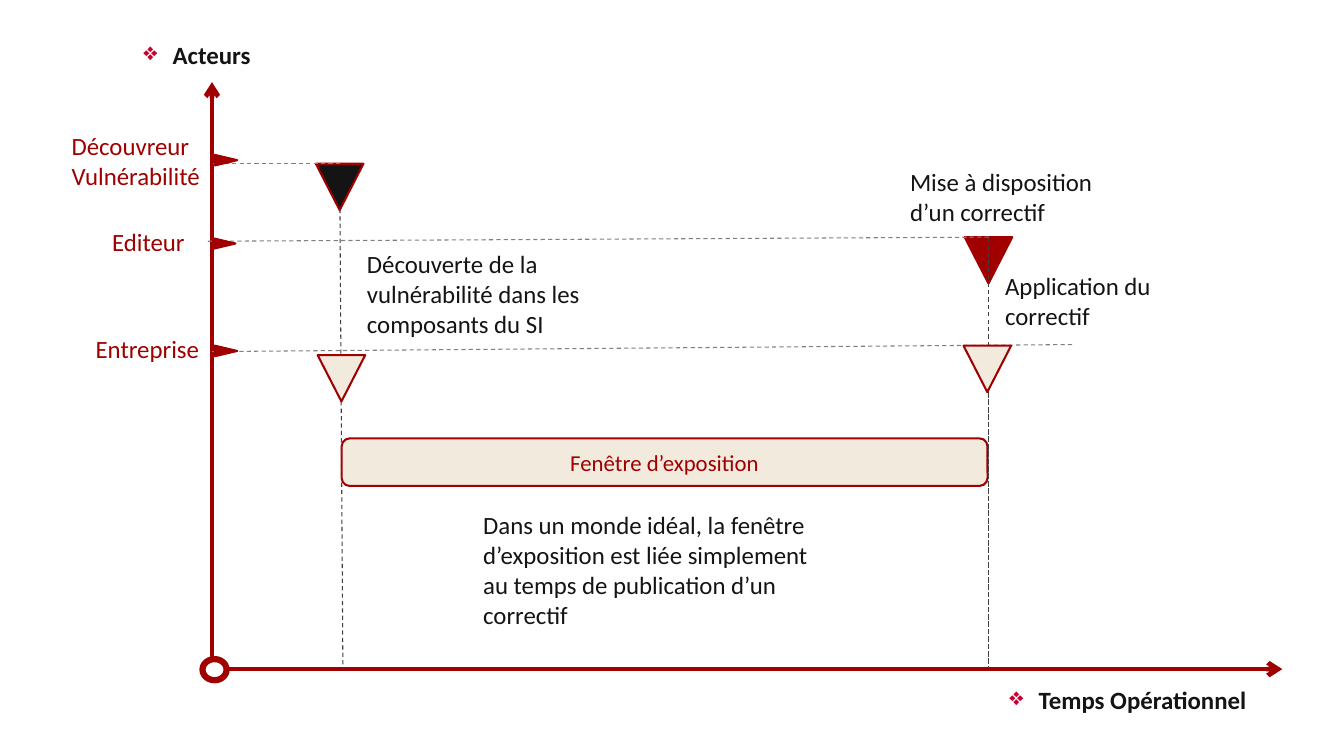
from lxml.etree import SubElement
from pptx import Presentation
from pptx.dml.color import RGBColor
from pptx.enum.dml import MSO_LINE
from pptx.enum.shapes import MSO_CONNECTOR, MSO_SHAPE
from pptx.enum.text import MSO_ANCHOR, PP_ALIGN
from pptx.oxml.ns import qn
from pptx.util import Cm, Pt

RED, BLACK, CREAM, WHITE = "A00000", "141414", "F3EADE", "FFFFFF"
DARK_GREY, GREY, BULLET = "404040", "808080", "C80032"


def color(value):
    """Turn a hex string into a colour."""
    return RGBColor.from_string(value)


class Diagram:
    """Holds the style and the slide being drawn; lengths are in cm."""

    font = "Calibri"
    size = 12

    def __init__(self, slide):
        """Keep the slide's shapes for drawing."""
        self.shapes = slide.shapes

    def set_text(self, tf, text, ink, size=None, bold=False):
        """Set the text of a frame and format its run."""
        tf.word_wrap = True
        tf.margin_left = tf.margin_right = Cm(0.18)
        tf.margin_top = tf.margin_bottom = Cm(0.1)
        p = tf.paragraphs[0]
        p.text = text
        font = p.runs[0].font
        font.name, font.size, font.bold = self.font, Pt(size or self.size), bold
        font.color.rgb = color(ink)
        return p

    def label(self, text, x, y, w, h, ink=BLACK, bold=False):
        """Add a text box."""
        tf = self.shapes.add_textbox(Cm(x), Cm(y), Cm(w), Cm(h)).text_frame
        return self.set_text(tf, text, ink, bold=bold)

    def axis_title(self, text, x, y, w, h):
        """Add a bold, right-aligned label with a diamond bullet."""
        p = self.label(text, x, y, w, h, bold=True)
        p.alignment = PP_ALIGN.RIGHT
        pPr = p._p.get_or_add_pPr()
        pPr.set("marL", str(Cm(0.5)))
        pPr.set("indent", str(Cm(-0.5)))
        SubElement(SubElement(pPr, qn("a:buClr")), qn("a:srgbClr"), val=BULLET)
        SubElement(pPr, qn("a:buChar"), char="❖")

    def shape(self, kind, x, y, w, h, fill, width=1, rotation=0):
        """Add a filled preset shape with a red outline."""
        sp = self.shapes.add_shape(kind, Cm(x), Cm(y), Cm(w), Cm(h))
        sp.shadow.inherit = False
        sp.rotation = rotation
        sp.fill.solid()
        sp.fill.fore_color.rgb = color(fill)
        sp.line.color.rgb = color(RED)
        sp.line.width = Pt(width)
        return sp

    def marker(self, x, y, fill):
        """Add an event marker: a triangle pointing down."""
        self.shape(MSO_SHAPE.ISOSCELES_TRIANGLE, x, y, 0.81, 0.79, fill, rotation=180)

    def tick(self, x, y):
        """Add an actor tick: a thin triangle pointing right."""
        self.shape(MSO_SHAPE.ISOSCELES_TRIANGLE, x, y, 0.18, 0.38, RED, rotation=90)

    def line(self, x1, y1, x2, y2, ink, width):
        """Add a straight connector without shadow."""
        cxn = self.shapes.add_connector(
            MSO_CONNECTOR.STRAIGHT, Cm(x1), Cm(y1), Cm(x2), Cm(y2))
        cxn.line.color.rgb = color(ink)
        cxn.line.width = Pt(width)
        SubElement(cxn._element.spPr, qn("a:effectLst"))
        return cxn

    def axis(self, *ends):
        """Add an axis with an arrowhead at its end."""
        cxn = self.line(*ends, RED, 2.25)
        ln = cxn._element.spPr.find(qn("a:ln"))
        SubElement(ln, qn("a:tailEnd"), type="arrow")

    def guide(self, *ends, ink=GREY):
        """Add a thin dashed guide line."""
        self.line(*ends, ink, 0.5).line.dash_style = MSO_LINE.DASH

    def bar(self, text, x, y, w, h):
        """Add a rounded bar with centred text."""
        sp = self.shape(MSO_SHAPE.ROUNDED_RECTANGLE, x, y, w, h, CREAM)
        p = self.set_text(sp.text_frame, text, RED, size=11)
        p.alignment = PP_ALIGN.CENTER
        sp.text_frame.vertical_anchor = MSO_ANCHOR.MIDDLE


prs = Presentation()
prs.slide_width, prs.slide_height = Cm(22.89), Cm(12.88)
d = Diagram(prs.slides.add_slide(prs.slide_layouts[6]))

# Axes and origin
origin_x, origin_y = 3.61, 11.4
d.axis(origin_x, origin_y, 21.84, origin_y)
d.axis(origin_x, origin_y, origin_x, 1.4)
d.shape(MSO_SHAPE.OVAL, 3.45, 11.23, 0.41, 0.36, WHITE, width=3)

# Events, exposure window and guides
discovery_x, fix_x = 5.79, 16.84
d.marker(5.38, 2.79, BLACK)
d.marker(16.43, 4.04, RED)
d.bar("Fenêtre d’exposition", 5.82, 7.47, 11, 0.81)
d.guide(discovery_x, 3.56, 5.84, origin_y, ink=DARK_GREY)
for top in (4.06, 6.68):
    d.guide(fix_x, top, fix_x, 11.38, ink=DARK_GREY)
d.guide(18.26, 5.87, origin_x, 5.99)
d.marker(5.41, 6.05, CREAM)
d.marker(16.41, 5.89, CREAM)
d.guide(fix_x, 4.04, 3.51, 4.11)
d.guide(discovery_x, 2.79, 3.63, 2.79)

# Actors: name, label left, top and width, then tick position
for name, x, y, w, tick_x, tick_y in (
    ("Découvreur Vulnérabilité", 1.04, 2.13, 3.68, 3.76, 2.54),
    ("Editeur", 1.73, 3.76, 2.59, 3.73, 3.96),
    ("Entreprise", 1.45, 5.59, 2.59, 3.76, 5.79),
):
    d.label(name, x, y, w, 0.64, ink=RED)
    d.tick(tick_x, tick_y)

# Explanations
for text, x, y, w in (
    ("Découverte de la vulnérabilité dans les composants du SI", 6.07, 4.14, 4.24),
    ("Mise à disposition d’un correctif", 15.32, 2.74, 3.86),
    ("Application du correctif", 16.94, 4.52, 3.86),
    ("Dans un monde idéal, la fenêtre d’exposition est liée simplement "
     "au temps de publication d’un correctif", 8.05, 8.59, 6.22),
):
    d.label(text, x, y, w, 2.06)

d.axis_title("Acteurs", 1.3, 0.58, 3.15, 1.35)
d.axis_title("Temps Opérationnel", 14.27, 11.56, 7.14, 0.74)

prs.save("out.pptx")
